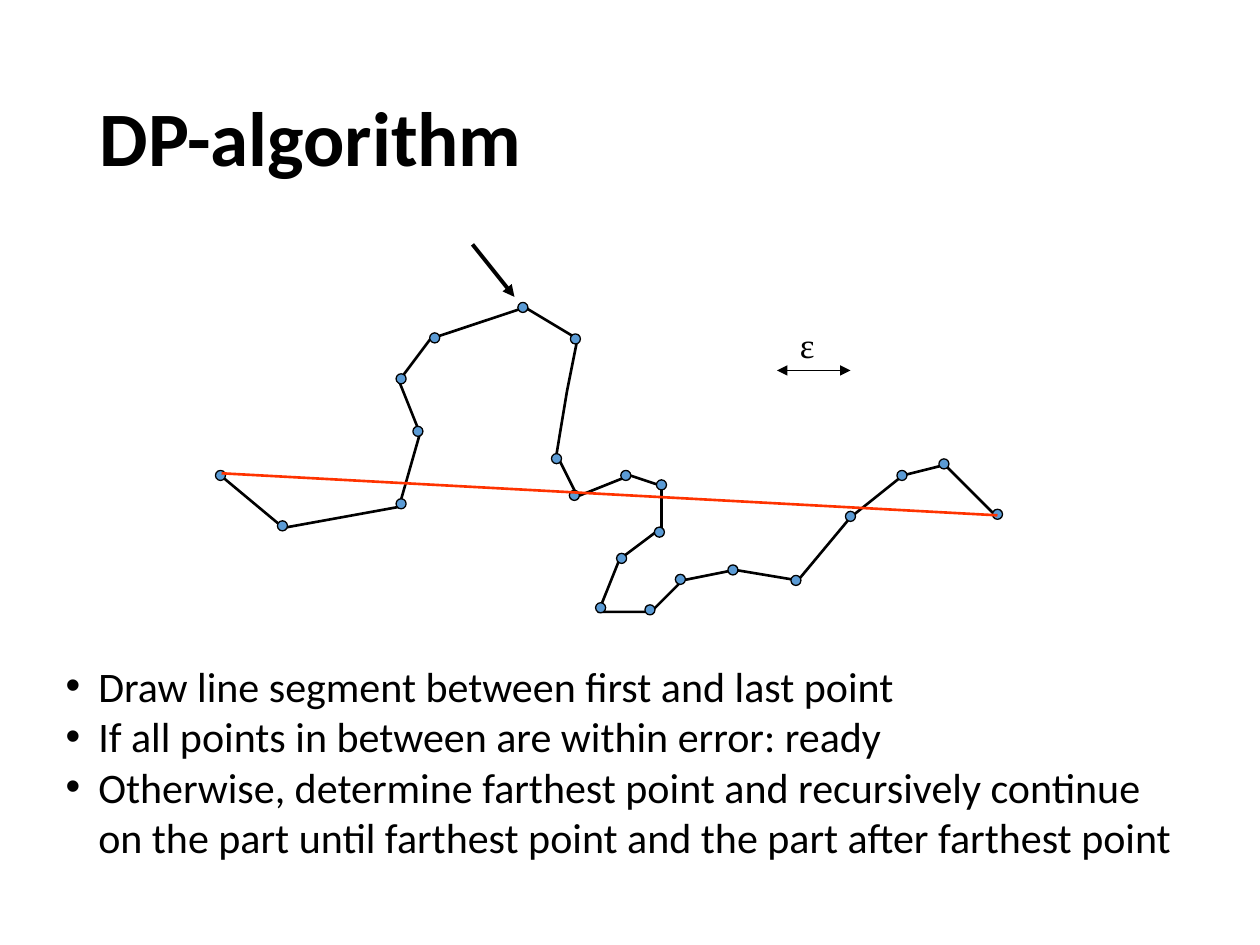
from pptx import Presentation
from pptx.dml.color import RGBColor
from pptx.enum import shapes, text
from pptx.oxml import parse_xml
from pptx.oxml.ns import nsdecls, qn
from pptx.util import Emu, Inches, Pt

TITLE = "DP-algorithm"
STEPS = [
    "Draw line segment between first and last point",
    "If all points in between are within error: ready",
    "Otherwise, determine farthest point and recursively continue\v"
    "on the part until farthest point and the part after farthest point",
]
ROUTE = [
    (21, 45), (27, 50), (38, 48), (40, 41), (38, 36), (41, 32), (50, 29), (55, 32),
    (54, 37), (53, 43), (55, 47), (60, 45), (63, 46), (63, 50), (59, 53), (57, 58),
    (62, 58), (65, 55), (70, 54), (76, 55), (81, 49), (86, 45), (90, 44), (95, 49),
]
DOTS = [
    (21, 45), (26.9, 49.8), (38.2, 47.7), (39.8, 40.8), (38.2, 35.8), (41.4, 31.9),
    (49.8, 29), (54.8, 32), (53, 43.4), (54.7, 46.9), (59.6, 45), (63, 45.9),
    (62.8, 50.4), (59.2, 52.9), (57.2, 57.6), (61.9, 57.8), (64.8, 54.9),
    (69.8, 54), (75.8, 55), (81, 48.9), (85.9, 45), (89.9, 43.9), (95, 48.7),
]
BASELINE = [(21.1, 44.8), (95, 48.8)]
FARTHEST_ARROW = [(45, 23), (49, 28)]
ERROR_ARROW = [(74, 35), (81, 35)]
DOT_SIZE = Inches(0.08)
CELL = Inches(1) / 12
ROW_OFFSET = 0.28


def color(value):
    return RGBColor.from_string(value)


def place(point):
    column, row = point
    return Emu(round(column * CELL)), Emu(round((row + ROW_OFFSET) * CELL))


def set_line(line, value, width):
    line.color.rgb = color(value)
    line.width = Pt(width)


def set_font(paragraph, name, size, bold=False):
    for run in paragraph.runs:
        run.font.name = name
        run.font.size = Pt(size)
        run.font.bold = bold
        run.font.color.rgb = color("000000")


def set_box(shape, left, top, width, height):
    shape.left, shape.top = Inches(left), Inches(top)
    shape.width, shape.height = Inches(width), Inches(height)


def add_line(parent, ends, value, width, arrowheads=()):
    connector = parent.add_connector(
        shapes.MSO_CONNECTOR.STRAIGHT, *place(ends[0]), *place(ends[1]))
    set_line(connector.line, value, width)
    outline = connector.line._get_or_add_ln()
    for end in arrowheads:
        outline.append(parse_xml(f'<a:{end} {nsdecls("a")} type="triangle"/>'))
    connector._element.spPr.append(parse_xml(f'<a:effectLst {nsdecls("a")}/>'))


def add_title(slide):
    title = slide.shapes.title
    set_box(title, 0.69, 0.4, 8.62, 1.45)
    title.text_frame.text = TITLE
    title.text_frame.auto_size = text.MSO_AUTO_SIZE.NONE
    title.text_frame.vertical_anchor = text.MSO_ANCHOR.MIDDLE
    paragraph = title.text_frame.paragraphs[0]
    paragraph.alignment = text.PP_ALIGN.LEFT
    paragraph.line_spacing = 0.9
    set_font(paragraph, "Calibri", 44, True)


def add_steps(slide):
    body = slide.placeholders[1]
    set_box(body, 0.42, 5.19, 9.33, 1.72)
    frame = body.text_frame
    frame.text = "\n".join(STEPS)
    frame.auto_size = text.MSO_AUTO_SIZE.NONE
    frame.vertical_anchor = text.MSO_ANCHOR.TOP
    for paragraph in frame.paragraphs:
        paragraph.space_before = Pt(0)
        properties = paragraph._p.get_or_add_pPr()
        properties.set("marL", str(Inches(0.26)))
        properties.set("indent", str(-Inches(0.26)))
        bullet = parse_xml(f'<a:buChar {nsdecls("a")} char="•"/>')
        properties.append(bullet)
        set_font(paragraph, "Calibri", 24)


def add_route(slide):
    start, *others = [place(point) for point in ROUTE]
    builder = slide.shapes.build_freeform(*start)
    builder.add_line_segments(others, close=False)
    route = builder.convert_to_shape()
    route.fill.background()
    route.shadow.inherit = False
    set_line(route.line, "000000", 1.5)
    for point in DOTS:
        x, y = place(point)
        dot = slide.shapes.add_shape(
            shapes.MSO_SHAPE.OVAL, x - DOT_SIZE // 2, y - DOT_SIZE // 2, DOT_SIZE, DOT_SIZE)
        dot.shadow.inherit = False
        dot.fill.solid()
        dot.fill.fore_color.rgb = color("5B9BD5")
        set_line(dot.line, "000000", 0.75)


def add_error_width(slide):
    group = slide.shapes.add_group_shape()
    label = group.shapes.add_textbox(0, 0, 0, 0)
    set_box(label, 6.25, 2.52, 0.32, 0.43)
    label.text_frame.text = "ε"
    label.text_frame.word_wrap = False
    label.text_frame.auto_size = text.MSO_AUTO_SIZE.SHAPE_TO_FIT_TEXT
    set_font(label.text_frame.paragraphs[0], "Times New Roman", 20)
    add_line(group.shapes, ERROR_ARROW, "000000", 0.75, ("headEnd", "tailEnd"))


def main():
    presentation = Presentation()
    presentation.slide_width, presentation.slide_height = Inches(10), Inches(7.5)
    slide = presentation.slides.add_slide(presentation.slide_layouts[1])
    add_title(slide)
    add_route(slide)
    add_line(slide.shapes, BASELINE, "FF3300", 1.5)
    add_steps(slide)
    add_line(slide.shapes, FARTHEST_ARROW, "000000", 2.25, ("tailEnd",))
    add_error_width(slide)
    presentation.save("out.pptx")


if __name__ == "__main__":
    main()
